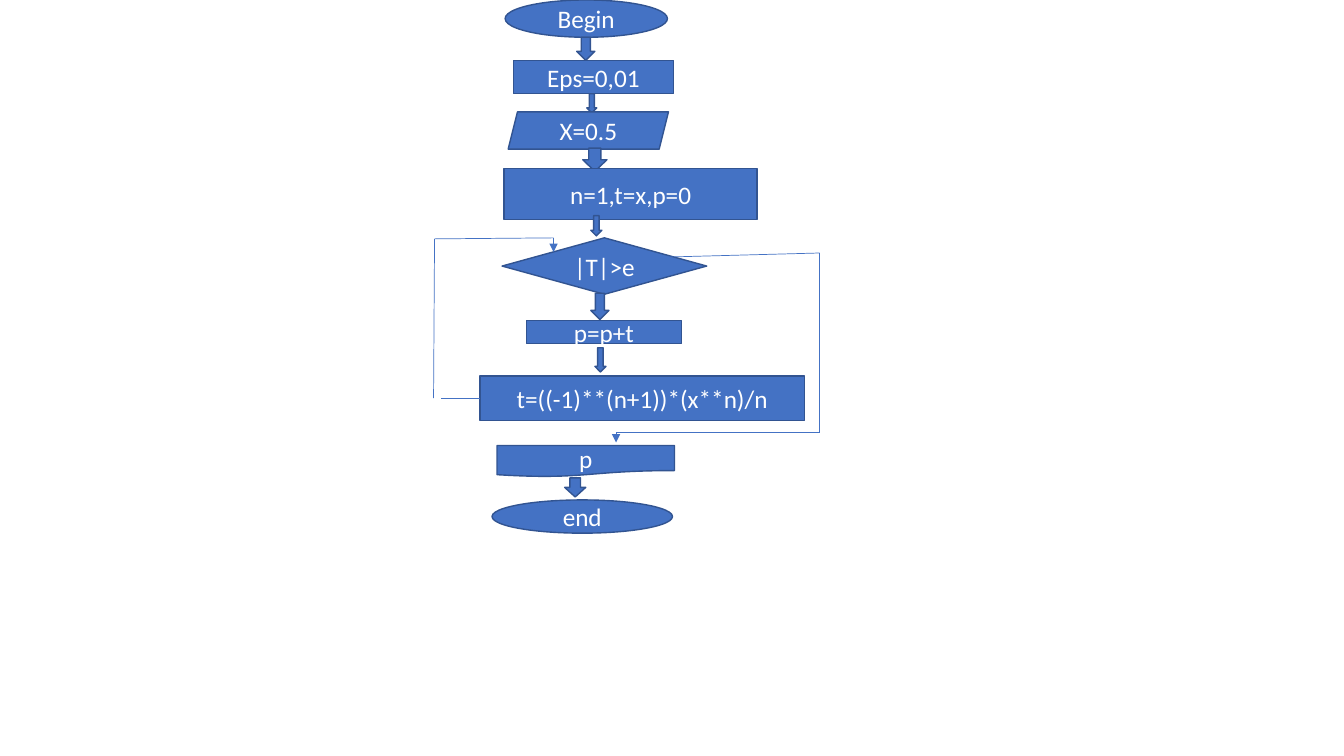
from dataclasses import dataclass
from itertools import pairwise

from lxml import etree
from pptx import Presentation
from pptx import util as u
from pptx.dml import color
from pptx.enum import shapes, text
from pptx.oxml import ns

COLORS = {"fill": "4472C4", "outline": "325491", "text": "FFFFFF"}
FONT = {"name": "Calibri", "size": u.Pt(18)}
FRAME = {"word_wrap": True, "vertical_anchor": text.MSO_ANCHOR.MIDDLE}
KIND = shapes.MSO_SHAPE


@dataclass
class Node:
    kind: shapes.MSO_SHAPE
    left: float
    top: float
    width: float
    height: float
    label: str = ""


@dataclass
class Route:
    points: list[tuple[float, float]]
    arrow: bool = False


def rgb(name: str) -> color.RGBColor:
    return color.RGBColor.from_string(COLORS[name])


def apply(target: object, values: dict) -> None:
    for name, value in values.items():
        setattr(target, name, value)


def draw_node(s, node: Node) -> None:
    box = [u.Inches(v) for v in (node.left, node.top, node.width, node.height)]
    sp = s.shapes.add_shape(node.kind, *box)
    sp.shadow.inherit = False
    sp.fill.solid()
    sp.fill.fore_color.rgb = rgb("fill")
    sp.line.color.rgb = rgb("outline")
    sp.line.width = u.Pt(1)
    if node.label:
        tf = sp.text_frame
        apply(tf, FRAME)
        p = tf.paragraphs[0]
        p.alignment = text.PP_ALIGN.CENTER
        r = p.add_run()
        r.text = node.label
        apply(r.font, FONT)
        r.font.color.rgb = rgb("text")


def draw_route(s, route: Route) -> None:
    for start, end in pairwise(route.points):
        ends = [u.Inches(v) for v in (*start, *end)]
        cx = s.shapes.add_connector(shapes.MSO_CONNECTOR.STRAIGHT, *ends)
        cx.line.color.rgb = rgb("fill")
        cx.line.width = u.Pt(0.5)
        etree.SubElement(cx._element.spPr, ns.qn("a:effectLst"))
        if route.arrow and end == route.points[-1]:
            ln = cx.line._get_or_add_ln()
            etree.SubElement(ln, ns.qn("a:tailEnd"), type="triangle")


NODES = [
    Node(KIND.OVAL, 5.01, 0, 1.61, 0.37, "Begin"),
    Node(KIND.DOWN_ARROW, 5.72, 0.37, 0.18, 0.23),
    Node(KIND.RECTANGLE, 5.09, 0.6, 1.59, 0.33, "Eps=0,01"),
    Node(KIND.DOWN_ARROW, 5.82, 0.93, 0.1, 0.19),
    Node(KIND.PARALLELOGRAM, 5.04, 1.11, 1.59, 0.37, "X=0.5"),
    Node(KIND.DOWN_ARROW, 5.78, 1.47, 0.24, 0.23),
    Node(KIND.RECTANGLE, 5, 1.67, 2.51, 0.51, "n=1,t=x,p=0"),
    Node(KIND.DOWN_ARROW, 5.86, 2.14, 0.11, 0.2),
    Node(KIND.DIAMOND, 4.98, 2.36, 2.03, 0.56, "|T|>e"),
    Node(KIND.DOWN_ARROW, 5.86, 2.91, 0.18, 0.26),
    Node(KIND.RECTANGLE, 5.22, 3.18, 1.54, 0.23, "p=p+t"),
    Node(KIND.DOWN_ARROW, 5.9, 3.45, 0.11, 0.24),
    Node(KIND.RECTANGLE, 4.76, 3.73, 3.22, 0.44, "t=((-1)**(n+1))*(x**n)/n"),
    Node(KIND.FLOWCHART_DOCUMENT, 4.93, 4.42, 1.76, 0.31, "p"),
    Node(KIND.DOWN_ARROW, 5.6, 4.74, 0.21, 0.19),
    Node(KIND.OVAL, 4.88, 4.96, 1.79, 0.33, "end"),
]
ROUTES = [
    Route([(6.62, 2.55), (8.13, 2.51), (8.13, 4.29), (6.11, 4.29), (6.11, 4.39)], True),
    Route([(4.76, 3.95), (4.37, 3.95)]),
    Route([(4.3, 3.95), (4.31, 2.37), (5.49, 2.36), (5.49, 2.5)], True),
]

prs = Presentation()
apply(prs, {"slide_width": u.Inches(13.33), "slide_height": u.Inches(7.5)})
s = prs.slides.add_slide(prs.slide_layouts[6])
for node in NODES:
    draw_node(s, node)
for route in ROUTES:
    draw_route(s, route)
prs.save("out.pptx")
